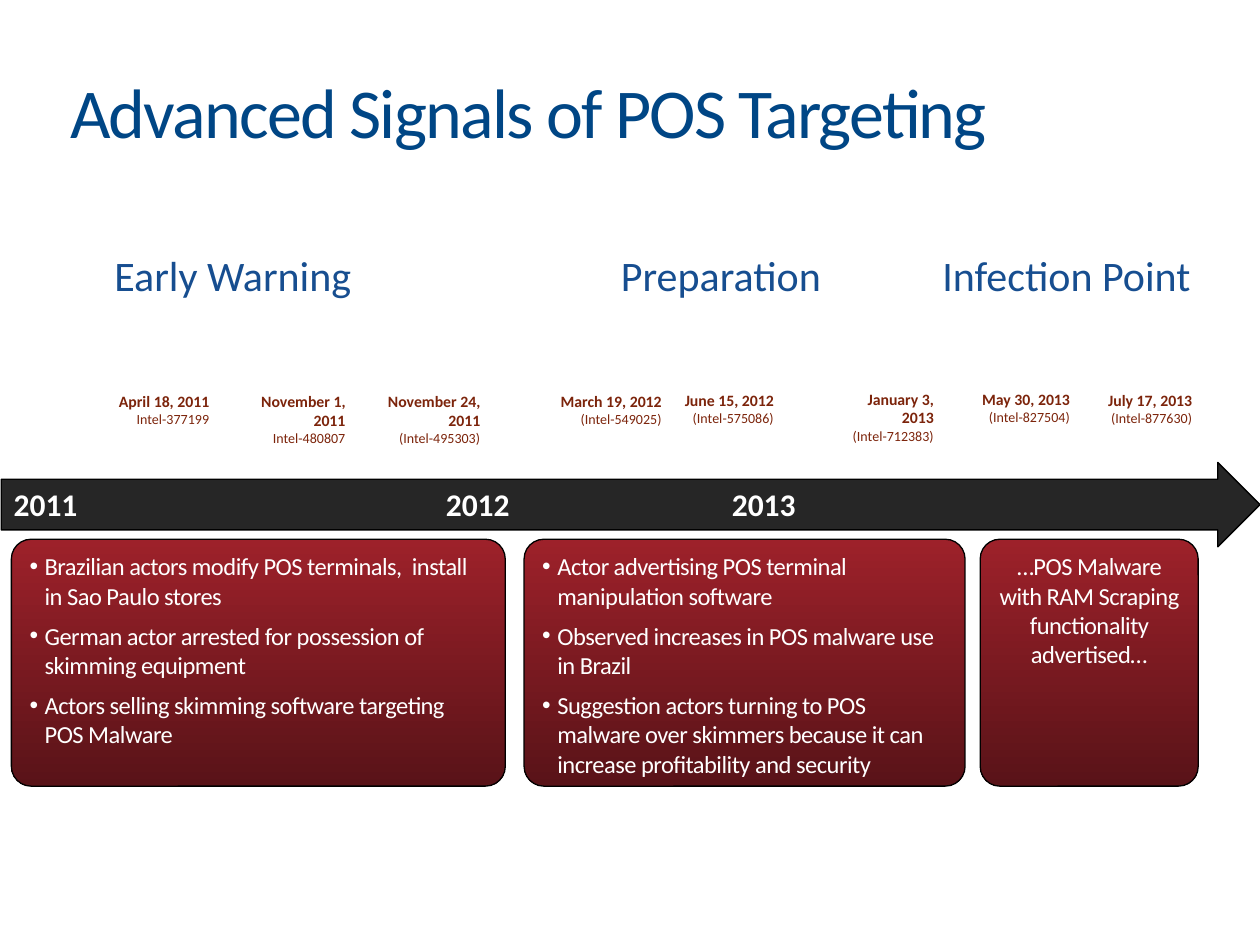
from pptx import Presentation
from pptx.util import Inches, Pt
from pptx.dml.color import RGBColor
from pptx.enum.shapes import MSO_SHAPE as Shape
from pptx.enum.text import PP_ALIGN as Align, MSO_ANCHOR as Anchor
from pptx.oxml.ns import qn
from lxml.etree import SubElement as Sub

COLS, ROWS = 100, 75  # grid over the 10 x 7.5 inch slide


def rgb(code):
    return RGBColor.from_string(code)


class Board:
    font = "Calibri"
    blue, navy, rust = "174E90", "004685", "7C240B"
    white, black, dark = "FFFFFF", "000000", "262626"
    reds = ("9D212A", "591318")

    def __init__(self, deck):
        self.slide = deck.slides.add_slide(deck.slide_layouts[6])
        self.dx = deck.slide_width / COLS
        self.dy = deck.slide_height / ROWS

    def place(self, col, row, wide, high):
        return (round(col * self.dx), round(row * self.dy),
                round(wide * self.dx), round(high * self.dy))

    def add_run(self, para, text, size, color, bold=False, track=0):
        run = para.add_run()
        run.text = text
        font = run.font
        font.name, font.size, font.bold = self.font, Pt(size), bold
        font.color.rgb = rgb(color)
        if track:
            run._r.get_or_add_rPr().set("spc", str(track))

    def text(self, area, lines, align=Align.LEFT, anchor=Anchor.TOP, wrap=True):
        """Each line is a tuple of text and its style."""
        frame = self.slide.shapes.add_textbox(*self.place(*area)).text_frame
        frame.word_wrap, frame.vertical_anchor = wrap, anchor
        for i, line in enumerate(lines):
            para = frame.add_paragraph() if i else frame.paragraphs[0]
            para.alignment = align
            self.add_run(para, *line)

    def shape(self, kind, area, *adjust):
        item = self.slide.shapes.add_shape(kind, *self.place(*area))
        item.shadow.inherit = False
        for i, value in enumerate(adjust):
            item.adjustments[i] = value
        item.line.color.rgb = rgb(self.black)
        item.line.width = Pt(0.75)
        return item

    def arrow(self, area):
        item = self.shape(Shape.RIGHT_ARROW, area, 0.6, 0.5)
        item.fill.solid()
        item.fill.fore_color.rgb = rgb(self.dark)

    def bullet(self, para):
        props = para._p.get_or_add_pPr()
        step = Inches(0.12)
        props.set("marL", str(step))
        props.set("indent", str(-step))
        Sub(props, qn("a:buFont")).set("typeface", "Arial")
        Sub(props, qn("a:buChar")).set("char", "•")
        para.space_after = Pt(6)

    def card(self, area, bend, points):
        item = self.shape(Shape.ROUNDED_RECTANGLE, area, bend)
        item.fill.gradient()
        item.fill.gradient_angle = 270
        for stop, color, at in zip(item.fill.gradient_stops, self.reds, (0, 1)):
            stop.color.rgb = rgb(color)
            stop.position = at
        frame = item.text_frame
        frame.word_wrap, frame.vertical_anchor = True, Anchor.TOP
        listed = len(points) > 1
        for i, point in enumerate(points):
            para = frame.add_paragraph() if i else frame.paragraphs[0]
            para.alignment = Align.LEFT if listed else Align.CENTER
            if listed:
                self.bullet(para)
            self.add_run(para, point, 14, self.white, False, -30)


def main():
    deck = Presentation()
    deck.slide_width, deck.slide_height = Inches(10), Inches(7.5)
    board = Board(deck)

    # Time arrow and title
    board.arrow((0.1, 36.7, 99.9, 6.7))
    board.text((4.6, 4.5, 95, 8.5),
               [("Advanced Signals of POS Targeting", 40, board.navy, False, -100)],
               anchor=Anchor.MIDDLE)

    # Years on the arrow
    for col, year in ((0.1, "2011"), (34.4, "2012"), (57.1, "2013")):
        board.text((col, 38, 7.9, 4), [(year, 18, board.white, True)])

    # Dated reports: column, row, width, date, report
    for col, row, wide, date, note in (
            (8, 30.6, 9.6, "April 18, 2011", "Intel-377199"),
            (17.2, 30.6, 11.2, "November 1, 2011", "Intel-480807"),
            (28.7, 30.6, 10.4, "November 24, 2011", "(Intel-495303)"),
            (42.6, 30.6, 10.9, "March 19, 2012", "(Intel-549025)"),
            (51.5, 30.5, 10.9, "June 15, 2012", "(Intel-575086)"),
            (65.2, 30.4, 9.9, "January 3, 2013", "(Intel-712383)"),
            (76, 30.4, 9.9, "May 30, 2013", "(Intel-827504)"),
            (85.7, 30.5, 9.9, "July 17, 2013", "(Intel-877630)")):
        board.text((col, row, wide, 3.9),
                   [(date, 9, board.rust, True), (note, 8, board.rust)],
                   Align.RIGHT)

    # Phases: heading column and width, card column and width, corner, points
    for name, col, wide, left, span, bend, points in (
            ("Early Warning", 8.1, 21, 0.9, 39.2, 0.08,
             ["Brazilian actors modify POS terminals,  install in Sao Paulo stores",
              "German actor arrested for possession of skimming equipment",
              "Actors selling skimming software targeting POS Malware"]),
            ("Preparation", 48.3, 18.1, 41.6, 35, 0.08,
             ["Actor advertising POS terminal manipulation software",
              "Observed increases in POS malware use in Brazil",
              "Suggestion actors turning to POS malware over skimmers "
              "because it can increase profitability and security"]),
            ("Infection Point", 73.8, 21.9, 77.8, 17.3, 0.09,
             ["…POS Malware with RAM Scraping functionality advertised…"])):
        board.text((col, 19.3, wide, 5), [(name, 24, board.blue)], wrap=False)
        board.card((left, 42.8, span, 19.6), bend, points)

    deck.save("out.pptx")


if __name__ == "__main__":
    main()
